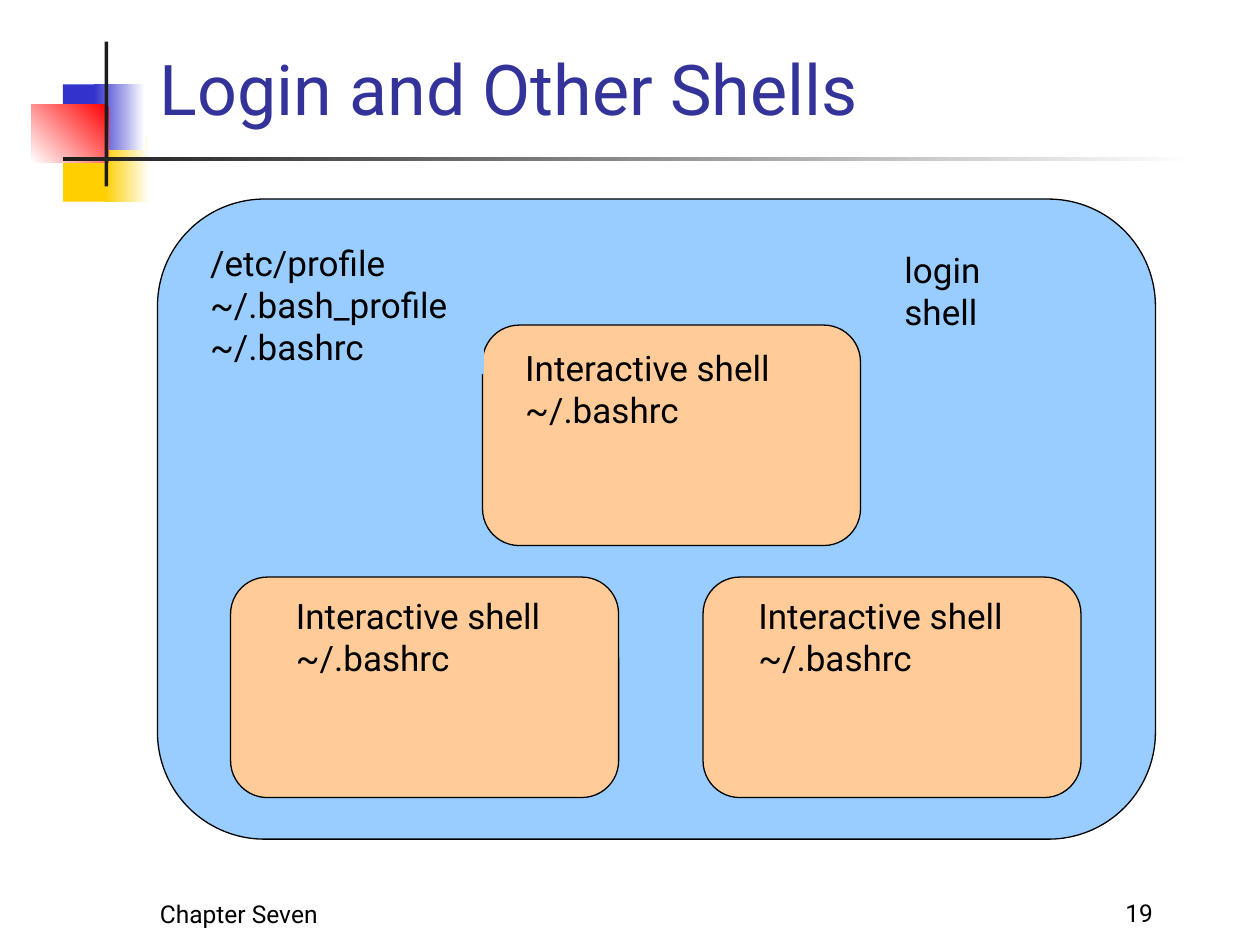
from pptx import Presentation
from pptx.dml.color import RGBColor
from pptx.enum.shapes import MSO_SHAPE as Shape
from pptx.enum.text import MSO_ANCHOR as Anchor, PP_ALIGN as Align
from pptx.util import Inches, Pt

WHITE = RGBColor(0xFF, 0xFF, 0xFF)
BLACK = RGBColor(0x00, 0x00, 0x00)
CHARCOAL = RGBColor(0x1C, 0x1C, 0x1C)
YELLOW = RGBColor(0xFF, 0xCF, 0x01)
BLUE = RGBColor(0x33, 0x33, 0xCC)
RED = RGBColor(0xFF, 0x00, 0x00)
INDIGO = RGBColor(0x33, 0x33, 0x99)
SKY = RGBColor(0x99, 0xCC, 0xFF)
PEACH = RGBColor(0xFF, 0xCC, 0x99)

# Corner ornament and title rule: box, colours, gradient angle
ORNAMENT = [
    ((0.5, 1.08, 0.48, 0.52), [YELLOW], None),
    ((0.83, 1.08, 0.36, 0.52), [WHITE, YELLOW], 180),
    ((0.5, 0.67, 0.46, 0.52), [BLUE], None),
    ((0.75, 0.67, 0.4, 0.52), [WHITE, BLUE], 180),
    ((0.25, 0.83, 0.61, 0.46), [RED, WHITE], 225),
    ((0.83, 0.33, 0.03, 1.15), [CHARCOAL], None),
    ((0.5, 1.25, 9, 0.03), [WHITE, CHARCOAL], 180),
]

# The login shell encloses the interactive shells
SHELLS = [
    ((1.25, 1.58, 7.92, 5.08), SKY),
    ((3.83, 2.58, 3, 1.75), PEACH),
    ((1.83, 4.58, 3.08, 1.75), PEACH),
    ((5.58, 4.58, 3, 1.75), PEACH),
]

INTERACTIVE = ["Interactive shell", "~/.bashrc"]
LABELS = [
    ((1.57, 1.87, 2.27, 1.1), SKY, ["/etc/profile", "~/.bash_profile", "~/.bashrc"]),
    ((7.08, 1.92, 1.43, 0.77), SKY, ["login shell"]),
    ((4.07, 2.7, 2.18, 1.1), PEACH, INTERACTIVE),
    ((5.92, 4.67, 2.17, 1.1), PEACH, INTERACTIVE),
    ((2.25, 4.67, 2.17, 1.1), PEACH, INTERACTIVE),
]

# Title and footer: box, text, size, colour, alignment
CAPTIONS = [
    ((1.17, 0.25, 8.07, 0.83), "Login and Other Shells", 40, INDIGO, Align.LEFT),
    ((7.42, 7.08, 1.83, 0.33), "19", 14, BLACK, Align.RIGHT),
    ((1.17, 7.17, 1.75, 0.25), "Chapter Seven", 14, BLACK, Align.LEFT),
]


def add_block(slide, kind, box, colours, angle=None, outline=None):
    block = slide.shapes.add_shape(kind, *map(Inches, box))
    block.shadow.inherit = False
    if angle is None:
        block.fill.solid()
        block.fill.fore_color.rgb = colours[0]
    else:
        block.fill.gradient()
        block.fill.gradient_angle = angle
        for stop, colour in zip(block.fill.gradient_stops, colours):
            stop.color.rgb = colour
    if outline is None:
        block.line.fill.background()
    else:
        block.line.color.rgb = outline
        block.line.width = Pt(0.75)
    return block


def write(holder, lines, size, colour, align, anchor):
    frame = holder.text_frame
    frame.word_wrap = True
    frame.vertical_anchor = anchor
    frame.text = "\n".join(lines)
    font_format = {"name": "Roboto", "size": Pt(size)}
    for paragraph in frame.paragraphs:
        paragraph.alignment = align
        for run in paragraph.runs:
            for attribute, value in font_format.items():
                setattr(run.font, attribute, value)
            run.font.color.rgb = colour


def main():
    deck = Presentation()
    deck.slide_width, deck.slide_height = Inches(10), Inches(7.5)
    slide = deck.slides.add_slide(deck.slide_layouts[6])

    # Ornament
    for box, colours, angle in ORNAMENT:
        add_block(slide, Shape.RECTANGLE, box, colours, angle)

    # Nested shells
    for box, colour in SHELLS:
        shell = add_block(slide, Shape.ROUNDED_RECTANGLE, box, [colour], outline=BLACK)
        shell.adjustments[0] = 0.167

    # Startup files read by each shell
    for box, colour, lines in LABELS:
        label = add_block(slide, Shape.RECTANGLE, box, [colour])
        write(label, lines, 20, BLACK, Align.LEFT, Anchor.TOP)

    # Title and footer
    for box, text, size, colour, align in CAPTIONS:
        caption = slide.shapes.add_textbox(*map(Inches, box))
        write(caption, [text], size, colour, align, Anchor.BOTTOM)

    deck.save("out.pptx")


if __name__ == "__main__":
    main()
